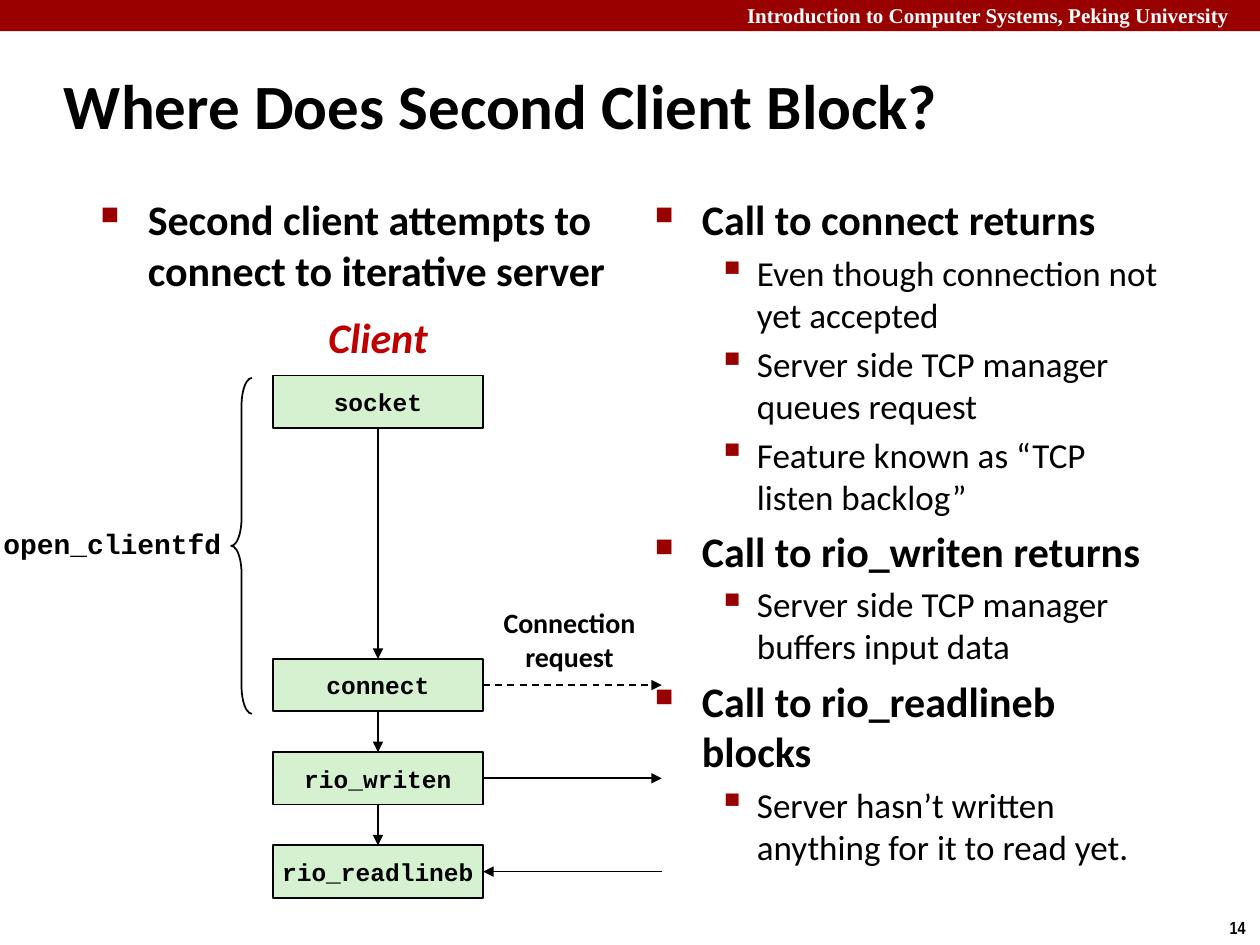
from lxml import etree
from pptx import Presentation
from pptx.dml.color import RGBColor
from pptx.enum import dml, shapes, text
from pptx.oxml import ns
from pptx.util import Cm, Pt

BLACK = RGBColor(0x00, 0x00, 0x00)
WHITE = RGBColor(0xFF, 0xFF, 0xFF)
MAROON = RGBColor(0x99, 0x00, 0x00)
RED = RGBColor(0xC0, 0x00, 0x00)
GREEN = RGBColor(0xD5, 0xF1, 0xCF)

deck = Presentation()
deck.slide_width, deck.slide_height = Cm(25.4), Cm(19.05)
slide = deck.slides.add_slide(deck.slide_layouts[6])
parts = slide.shapes


def write(paragraph, words, size, face="Calibri", color=BLACK, bold=True):
    run = paragraph.add_run()
    run.text = words
    run.font.size = Pt(size)
    run.font.name = face
    run.font.bold = bold
    run.font.color.rgb = color
    return run


def add_arrow(left, top, right, bottom):
    arrow = parts.add_connector(
        shapes.MSO_CONNECTOR.STRAIGHT, Cm(left), Cm(top), Cm(right), Cm(bottom))
    arrow.line.color.rgb = BLACK
    arrow.line.width = Pt(1)
    etree.SubElement(arrow.line._get_or_add_ln(), ns.qn("a:tailEnd"), type="triangle")
    etree.SubElement(arrow._element.spPr, ns.qn("a:effectLst"))
    return arrow


banner = parts.add_shape(shapes.MSO_SHAPE.RECTANGLE, 0, 0, Cm(25.4), Cm(0.63))
banner.shadow.inherit = False
banner.fill.solid()
banner.fill.fore_color.rgb = MAROON
banner.line.fill.background()

LEFT, CENTER = text.PP_ALIGN.LEFT, text.PP_ALIGN.CENTER
captions = [
    (14.81, -0.08, 10.77, 0.76, LEFT, 12, "Times New Roman", WHITE,
     ["Introduction to Computer Systems, Peking University"]),
    (24.54, 18.36, 0.86, 0.69, LEFT, 10, "Arial Narrow", BLACK, ["14"]),
    (1.04, 1.04, 21.08, 2.11, LEFT, 36, "Calibri", BLACK,
     ["Where Does Second Client Block?"]),
    (6.35, 6.15, 2.54, 1.27, CENTER, 24, "Calibri", RED, ["Client"]),
    (9.88, 12.07, 3.2, 1.63, CENTER, 16, "Calibri", BLACK, ["Connection", "request"]),
    (-0.2, 10.49, 4.93, 0.94, CENTER, 16, "Courier New", BLACK, ["open_clientfd"]),
]
for left, top, width, height, align, size, face, color, lines in captions:
    frame = parts.add_textbox(Cm(left), Cm(top), Cm(width), Cm(height)).text_frame
    frame.word_wrap = False
    frame.vertical_anchor = text.MSO_ANCHOR.MIDDLE
    for i, words in enumerate(lines):
        line = frame.add_paragraph() if i else frame.paragraphs[0]
        line.alignment = align
        run = write(line, words, size, face, color)
        run.font.italic = True if words == "Client" else None

columns = [
    (1.78, 3, [(0, "Second client attempts to connect to iterative server")]),
    (12.95, 13.82, [
        (0, "Call to connect returns"),
        (1, "Even though connection not yet accepted"),
        (1, "Server side TCP manager queues request"),
        (1, "Feature known as “TCP listen backlog”"),
        (0, "Call to rio_writen returns"),
        (1, "Server side TCP manager buffers input data"),
        (0, "Call to rio_readlineb blocks"),
        (1, "Server hasn’t written anything for it to read yet."),
    ]),
]
levels = [(24, True, 0.95, 0.95, "■", 60), (20, False, 2.06, 0.79, "▪", 110)]
for left, height, points in columns:
    frame = parts.add_textbox(Cm(left), Cm(3.78), Cm(10.74), Cm(height)).text_frame
    frame.word_wrap = True
    for i, (level, words) in enumerate(points):
        size, bold, margin, hanging, bullet, percent = levels[level]
        point = frame.add_paragraph() if i else frame.paragraphs[0]
        point.level = level
        point.space_before = Pt(size * 0.2)
        props = point._p.get_or_add_pPr()
        props.set("marL", str(Cm(margin)))
        props.set("indent", str(-Cm(hanging)))
        tint = etree.SubElement(props, ns.qn("a:buClr"))
        etree.SubElement(tint, ns.qn("a:srgbClr"), val=str(MAROON))
        etree.SubElement(props, ns.qn("a:buSzPct"), val=str(percent * 1000))
        etree.SubElement(props, ns.qn("a:buChar"), char=bullet)
        write(point, words, size, bold=bold)

calls = []
for name, top in [("socket", 7.57), ("connect", 13.28),
                  ("rio_writen", 15.16), ("rio_readlineb", 17.04)]:
    call = parts.add_shape(
        shapes.MSO_SHAPE.RECTANGLE, Cm(5.5), Cm(top), Cm(4.24), Cm(1.06))
    call.shadow.inherit = False
    call.fill.solid()
    call.fill.fore_color.rgb = GREEN
    call.line.color.rgb = BLACK
    call.line.width = Pt(1)
    call.text_frame.word_wrap = False
    call.text_frame.vertical_anchor = text.MSO_ANCHOR.MIDDLE
    call.text_frame.paragraphs[0].alignment = CENTER
    write(call.text_frame.paragraphs[0], name, 14, "Courier New")
    calls.append(call)

for before, after in zip(calls, calls[1:]):
    step = add_arrow(7.62, 8, 7.62, 9)
    step.begin_connect(before, 2)
    step.end_connect(after, 0)

socket, connect, writen, readlineb = calls
request = add_arrow(9.74, 13.81, 13.34, 13.81)
request.line.dash_style = dml.MSO_LINE.DASH
request.begin_connect(connect, 3)
sending = add_arrow(9.74, 15.69, 13.34, 15.69)
sending.begin_connect(writen, 3)
reply = add_arrow(13.34, 17.57, 9.74, 17.57)
reply.end_connect(readlineb, 3)

brace = parts.add_shape(
    shapes.MSO_SHAPE.LEFT_BRACE, Cm(4.66), Cm(7.62), Cm(0.42), Cm(6.77))
brace.adjustments[0] = 1.33
brace.shadow.inherit = False
brace.fill.background()
brace.line.color.rgb = BLACK
brace.line.width = Pt(1)

deck.save("out.pptx")
